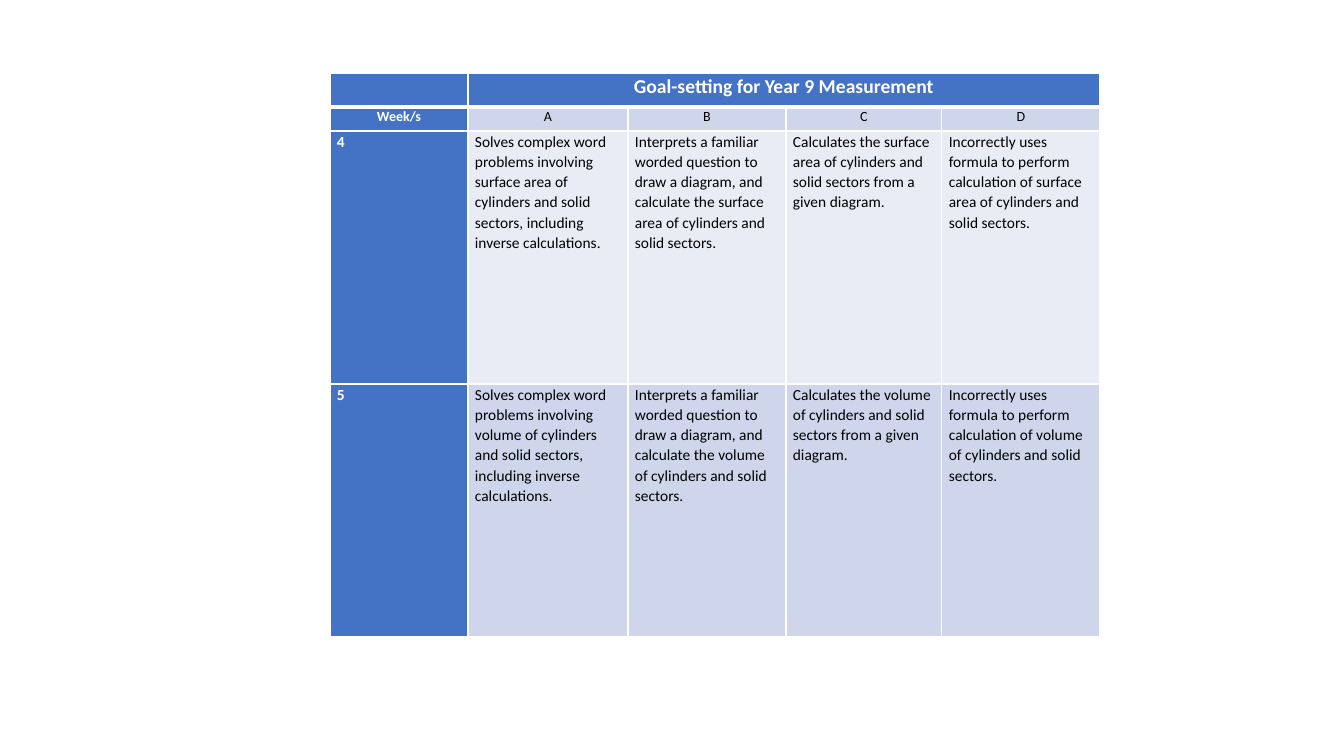
from dataclasses import dataclass

from lxml.etree import SubElement
from pptx import Presentation
from pptx.dml.color import RGBColor
from pptx.enum.text import PP_ALIGN
from pptx.oxml.ns import qn
from pptx.table import Table, _Cell
from pptx.util import Emu, Pt

EMU_PER_PX = 914400 / 100.8
BLUE, PALE, LIGHT, WHITE, BLACK = "4472C4", "CFD5EA", "E9EBF5", "FFFFFF", "000000"
COLUMN_WIDTHS = (138, 160, 158, 156, 158)
ROW_HEIGHTS = (34, 24, 253, 253)


@dataclass(frozen=True)
class GoalRow:
    texts: tuple[str, ...]
    fill: str
    size: int
    centred: bool = False


def week_goals(week: str, measure: str, fill: str) -> GoalRow:
    solids = "of cylinders and solid sectors"
    return GoalRow(
        (
            week,
            f"Solves complex word problems involving {measure} {solids}, including inverse calculations.",
            "Interprets a familiar worded question to draw a diagram, "
            f"and calculate the {measure} {solids}.",
            f"Calculates the {measure} {solids} from a given diagram.",
            f"Incorrectly uses formula to perform calculation of {measure} {solids}.",
        ),
        fill,
        11,
    )


GOAL_ROWS = (
    GoalRow(("", "Goal-setting for Year 9 Measurement", "", "", ""), BLUE, 14, True),
    GoalRow(("Week/s", "A", "B", "C", "D"), PALE, 10, True),
    week_goals("4", "surface area", LIGHT),
    week_goals("5", "volume", PALE),
)


def px(length: int) -> Emu:
    return Emu(round(length * EMU_PER_PX))


def colour(value: str) -> RGBColor:
    return RGBColor.from_string(value)


def draw_borders(cell: _Cell, top: int, bottom: int) -> None:
    properties = cell._tc.get_or_add_tcPr()
    for side, width in (("L", 1), ("R", 1), ("T", top), ("B", bottom)):
        line = SubElement(properties, qn(f"a:ln{side}"), w=str(Pt(width)))
        fill = SubElement(line, qn("a:solidFill"))
        SubElement(fill, qn("a:srgbClr"), val=WHITE)


def write_cell(cell: _Cell, text: str, row: GoalRow, heading: bool) -> None:
    cell.margin_left = cell.margin_right = px(7)
    cell.margin_top = cell.margin_bottom = 0
    cell.fill.solid()
    cell.fill.fore_color.rgb = colour(BLUE if heading else row.fill)
    cell.text_frame.text = text
    para = cell.text_frame.paragraphs[0]
    para.line_spacing = 1.07
    para.alignment = PP_ALIGN.CENTER if row.centred else PP_ALIGN.LEFT
    for span in para.runs:
        span.font.name = "Calibri"
        span.font.size = Pt(row.size)
        span.font.bold = heading
        span.font.color.rgb = colour(WHITE if heading else BLACK)


def fill_table(table: Table) -> None:
    for column, width in zip(table.columns, COLUMN_WIDTHS):
        column.width = px(width)
    for index, (row, height) in enumerate(zip(GOAL_ROWS, ROW_HEIGHTS)):
        table.rows[index].height = px(height)
        for position, text in enumerate(row.texts):
            cell = table.cell(index, position)
            draw_borders(cell, 3 if index == 1 else 1, 3 if index == 0 else 1)
            write_cell(cell, text, row, index == 0 or position == 0)
    table.cell(0, 1).merge(table.cell(0, len(COLUMN_WIDTHS) - 1))


def main() -> None:
    """Build the goal-setting slide and save it."""
    deck = Presentation()
    deck.slide_width, deck.slide_height = px(1344), px(756)
    page = deck.slides.add_slide(deck.slide_layouts[6])
    frame = page.shapes.add_table(
        len(ROW_HEIGHTS),
        len(COLUMN_WIDTHS),
        px(330),
        px(73),
        px(sum(COLUMN_WIDTHS)),
        px(sum(ROW_HEIGHTS)),
    )
    fill_table(frame.table)
    deck.save("out.pptx")


if __name__ == "__main__":
    main()
